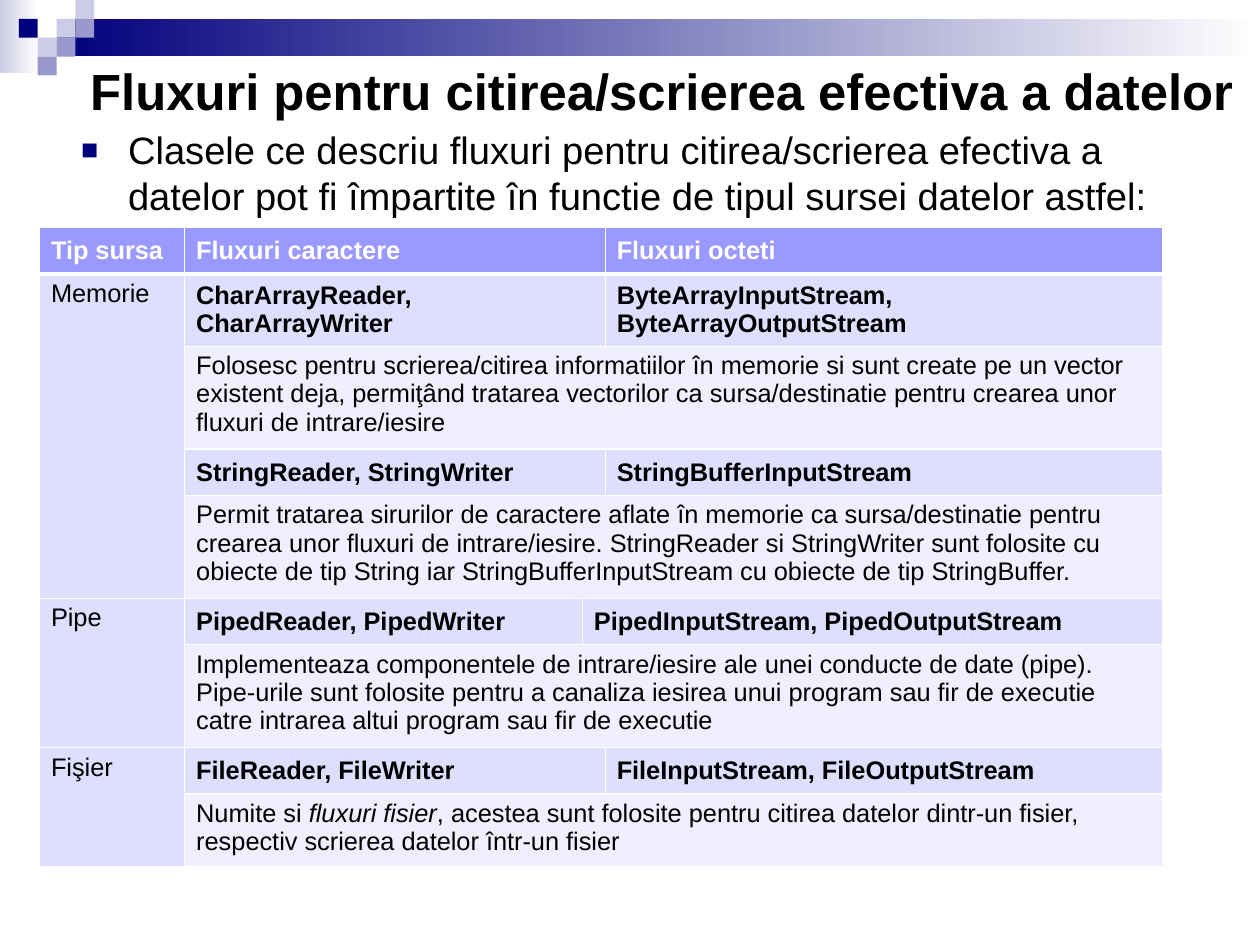
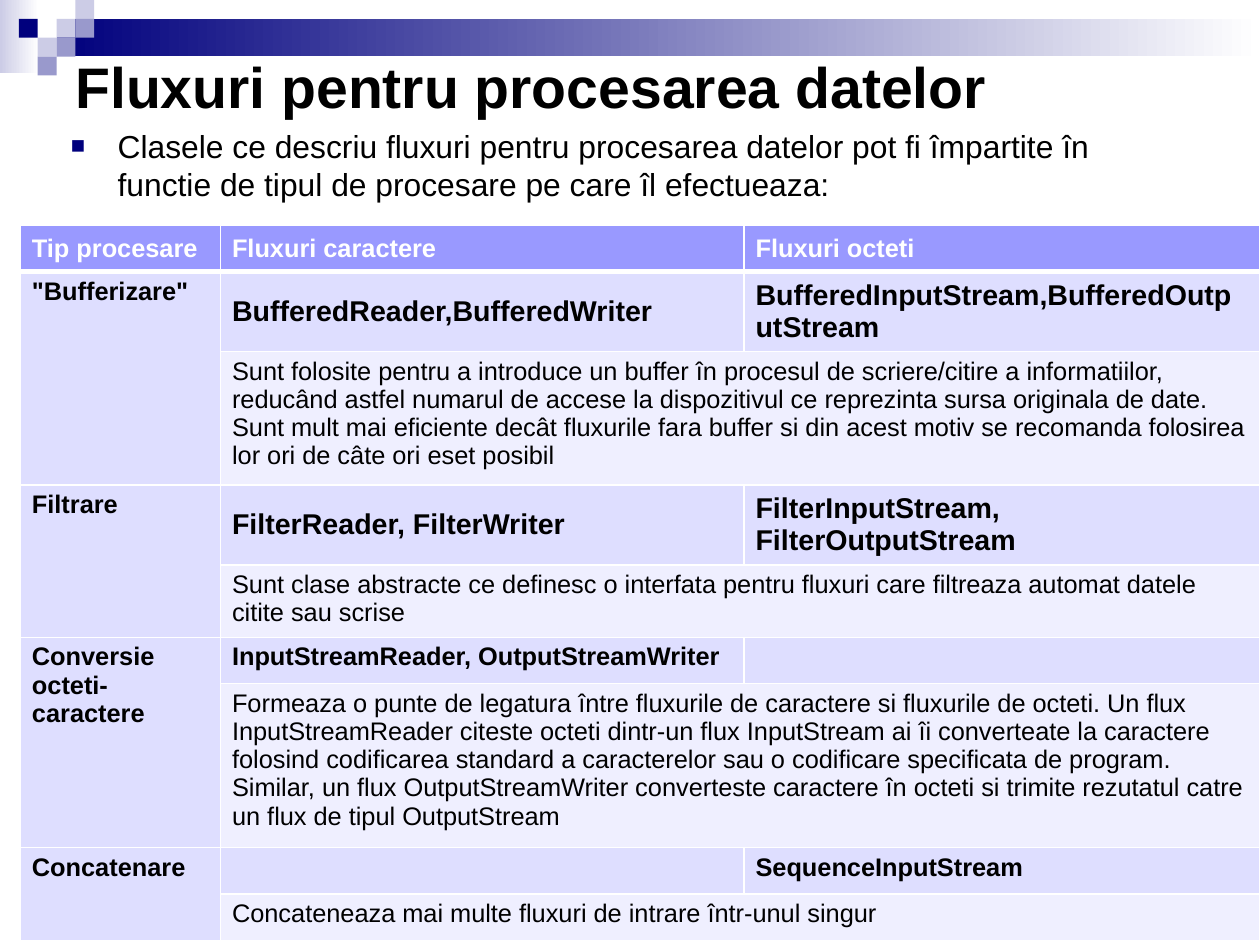
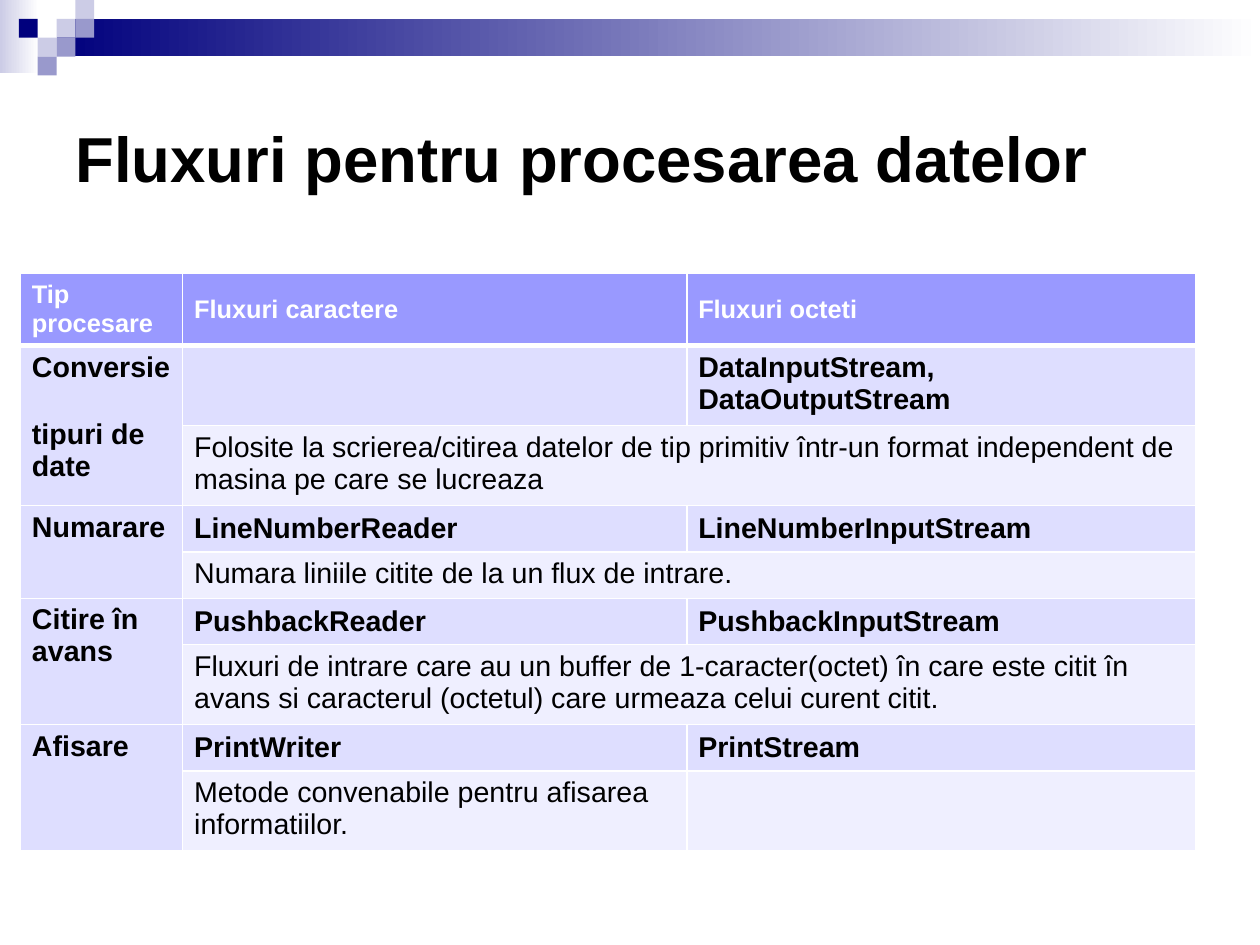
from dataclasses import dataclass
from typing import Optional

from lxml.etree import SubElement
from pptx import Presentation
from pptx.dml.color import RGBColor
from pptx.enum.shapes import MSO_SHAPE
from pptx.enum.text import MSO_ANCHOR
from pptx.oxml.ns import qn
from pptx.util import Cm, Inches, Pt


@dataclass(frozen=True)
class Theme:
    font: str = "Arial"
    navy: str = "00007D"
    lavender: str = "9999CC"
    mist: str = "CCCCE6"
    white: str = "FFFFFF"
    black: str = "000000"
    header: str = "9999FF"
    names: str = "DEDEFF"
    description: str = "EFEFFF"
    table_size: int = 16
    large_table_size: int = 18
    thin_border: int = 1
    thick_border: int = 3


THEME = Theme()
MODULE = 0.165
SLIDE_WIDTH, SLIDE_HEIGHT = Cm(28), Cm(21)
TITLE_ROWS = 4
MOSAIC = [
    (3, 1, THEME.mist), (4, 0, THEME.mist), (4, 1, THEME.lavender),
    (2, 2, THEME.mist), (1, 1, THEME.navy), (3, 2, THEME.lavender),
    (2, 3, THEME.lavender),
]


@dataclass
class Entry:
    characters: str
    octets: str
    description: str
    name_lines: int = 1
    description_lines: int = 1
    name_size: int = THEME.table_size
    name_anchor: MSO_ANCHOR = MSO_ANCHOR.MIDDLE
    octet_column: Optional[int] = None
    full_width: bool = True


def grid(modules):
    return Inches(modules * MODULE)


def color(code):
    return RGBColor.from_string(code)


def row_height(lines, size):
    return Pt(max(29.2, lines * size * 1.2 + 7.2))


class Deck:
    def __init__(self, theme):
        self.theme = theme
        self.presentation = Presentation()
        self.presentation.slide_width = SLIDE_WIDTH
        self.presentation.slide_height = SLIDE_HEIGHT
        self.slide = None

    def new_slide(self):
        layout = self.presentation.slide_layouts[6]
        self.slide = self.presentation.slides.add_slide(layout)
        self.rectangle(0, 0, 2.06, 3.88, self.theme.mist, self.theme.white)
        band_width = SLIDE_WIDTH.inches / MODULE - 3
        self.rectangle(3, 1, band_width, 2, self.theme.navy, self.theme.white)
        for column, row, tone in MOSAIC:
            self.rectangle(column, row, 1, 1, tone)

    def rectangle(self, left, top, width, height, start, end=None):
        shape = self.slide.shapes.add_shape(
            MSO_SHAPE.RECTANGLE, grid(left), grid(top), grid(width), grid(height))
        shape.shadow.inherit = False
        shape.line.fill.background()
        if end is None:
            shape.fill.solid()
            shape.fill.fore_color.rgb = color(start)
            return
        shape.fill.gradient()
        shape.fill.gradient_angle = 0
        for stop, position, tone in zip(shape.fill.gradient_stops, (0, 1), (start, end)):
            stop.position = position
            stop.color.rgb = color(tone)

    def format_run(self, run, size, bold=False, tone=None, italic=False):
        run.font.name = self.theme.font
        run.font.size = Pt(size)
        run.font.bold = bold
        run.font.italic = italic
        run.font.color.rgb = color(tone or self.theme.black)

    def text_box(self, text, left, top, width, height, size, bold=False):
        box = self.slide.shapes.add_textbox(
            grid(left), grid(top), grid(width), grid(height))
        text_frame = box.text_frame
        text_frame.word_wrap = True
        text_frame.margin_left = text_frame.margin_right = Inches(0.11)
        text_frame.margin_top = text_frame.margin_bottom = Inches(0.06)
        text_frame.text = text
        for run in text_frame.paragraphs[0].runs:
            self.format_run(run, size, bold)
        return text_frame

    def title(self, text, size, left, middle, width):
        text_frame = self.text_box(
            text, left, middle - TITLE_ROWS / 2, width, TITLE_ROWS, size, bold=True)
        text_frame.vertical_anchor = MSO_ANCHOR.MIDDLE

    def bullet(self, text, size, left):
        text_frame = self.text_box(text, left, 6.36, 60.12, 28.36, size)
        properties = text_frame.paragraphs[0]._p.get_or_add_pPr()
        properties.set("marL", str(Inches(0.41)))
        properties.set("indent", str(-Inches(0.41)))
        bullet_color = SubElement(properties, qn("a:buClr"))
        SubElement(bullet_color, qn("a:srgbClr")).set("val", self.theme.navy)
        SubElement(properties, qn("a:buSzPct")).set("val", "75000")
        SubElement(properties, qn("a:buFont")).set("typeface", self.theme.font)
        SubElement(properties, qn("a:buChar")).set("char", "■")

    def borders(self, cell, top, bottom):
        properties = cell._tc.get_or_add_tcPr()
        thin = self.theme.thin_border
        for side, width in (("L", thin), ("R", thin), ("T", top), ("B", bottom)):
            line = SubElement(properties, qn(f"a:ln{side}"))
            line.set("w", str(Pt(width)))
            fill = SubElement(line, qn("a:solidFill"))
            SubElement(fill, qn("a:srgbClr")).set("val", self.theme.white)

    def cell(self, table, first, last, text, fill, size, bold=False,
             anchor=MSO_ANCHOR.TOP, tone=None):
        cell = table.cell(*first)
        if first != last:
            cell.merge(table.cell(*last))
        thin, thick = self.theme.thin_border, self.theme.thick_border
        self.borders(cell, thick if first[0] == 1 else thin,
                     thick if first[0] == 0 else thin)
        cell.fill.solid()
        cell.fill.fore_color.rgb = color(fill)
        cell.vertical_anchor = anchor
        cell.margin_left = cell.margin_right = Inches(0.1)
        cell.margin_top = cell.margin_bottom = Inches(0.05)
        pieces = text.split("*")
        paragraph = cell.text_frame.paragraphs[0]
        paragraph.text = pieces[0]
        for piece in pieces[1:]:
            paragraph.add_run().text = piece
        for index, run in enumerate(paragraph.runs):
            italic = len(pieces) > 1 and index % 2 == 1
            self.format_run(run, size, bold, tone, italic)

    def stream_table(self, left, top, columns, heading, topics,
                     size=THEME.table_size, bold_topics=True, frame_rows=None):
        theme = self.theme
        last = len(columns) - 1
        entries = [entry for _, group in topics for entry in group]
        heights = [row_height(1, theme.table_size)]
        for entry in entries:
            heights.append(row_height(entry.name_lines, entry.name_size))
            heights.append(row_height(entry.description_lines, size))
        frame = self.slide.shapes.add_table(
            len(heights), len(columns), grid(left), grid(top),
            grid(sum(columns)), sum(heights))
        table = frame.table
        table.horz_banding = False
        for column, width in zip(table.columns, columns):
            column.width = grid(width)
        for row, height in zip(table.rows, heights):
            row.height = height
        if frame_rows:
            frame.height = grid(frame_rows)

        headings = ((0, 0, heading), (1, last - 1, "Fluxuri caractere"),
                    (last, last, "Fluxuri octeti"))
        for start, end, text in headings:
            self.cell(table, (0, start), (0, end), text, theme.header,
                      theme.table_size, True, MSO_ANCHOR.MIDDLE, theme.white)

        row = 1
        for topic, group in topics:
            self.cell(table, (row, 0), (row + 2 * len(group) - 1, 0), topic,
                      theme.names, size, bold_topics)
            for entry in group:
                split = entry.octet_column or last
                for start, end, text in ((1, split - 1, entry.characters),
                                         (split, last, entry.octets)):
                    self.cell(table, (row, start), (row, end), text, theme.names,
                              entry.name_size, True, entry.name_anchor)
                end = last if entry.full_width else split - 1
                self.cell(table, (row + 1, 1), (row + 1, end), entry.description,
                          theme.description, size)
                if not entry.full_width:
                    self.cell(table, (row + 1, split), (row + 1, last), "",
                              theme.description, size)
                row += 2


def data_source_slide(deck):
    deck.new_slide()
    deck.title("Fluxuri pentru citirea/scrierea efectiva a datelor", 32, 4.12, 4.78, 62.73)
    deck.bullet("Clasele ce descriu fluxuri pentru citirea/scrierea efectiva a datelor "
                "pot fi împartite în functie de tipul sursei datelor astfel:", 24, 3.64)
    deck.stream_table(2.1, 12.06, [7.7, 21.09, 1.21, 29.58], "Tip sursa", [
        ("Memorie", [
            Entry("CharArrayReader, CharArrayWriter",
                  "ByteArrayInputStream, ByteArrayOutputStream",
                  "Folosesc pentru scrierea/citirea informatiilor în memorie si sunt create "
                  "pe un vector existent deja, permiţând tratarea vectorilor ca "
                  "sursa/destinatie pentru crearea unor fluxuri de intrare/iesire",
                  name_lines=2, description_lines=3),
            Entry("StringReader, StringWriter", "StringBufferInputStream",
                  "Permit tratarea sirurilor de caractere aflate în memorie ca "
                  "sursa/destinatie pentru crearea unor fluxuri de intrare/iesire. "
                  "StringReader si StringWriter sunt folosite cu obiecte de tip String "
                  "iar StringBufferInputStream cu obiecte de tip StringBuffer.",
                  description_lines=3),
        ]),
        ("Pipe", [
            Entry("PipedReader, PipedWriter", "PipedInputStream, PipedOutputStream",
                  "Implementeaza componentele de intrare/iesire ale unei conducte de date "
                  "(pipe). Pipe-urile sunt folosite pentru a canaliza iesirea unui program "
                  "sau fir de executie catre intrarea altui program sau fir de executie",
                  description_lines=3, octet_column=2),
        ]),
        ("Fişier", [
            Entry("FileReader, FileWriter", "FileInputStream, FileOutputStream",
                  "Numite si *fluxuri fisier*, acestea sunt folosite pentru citirea datelor "
                  "dintr-un fisier, respectiv scrierea datelor într-un fisier",
                  description_lines=2),
        ]),
    ], bold_topics=False)


def processing_slide(deck):
    large = THEME.large_table_size
    deck.new_slide()
    deck.title("Fluxuri pentru procesarea datelor", 36, 3.33, 4.55, 60.12)
    deck.bullet("Clasele ce descriu fluxuri pentru procesarea datelor pot fi împartite în "
                "functie de tipul de procesare pe care îl efectueaza:", 20, 3.09)
    deck.stream_table(1.09, 11.94, [10.61, 27.76, 27.33], "Tip procesare", [
        ('"Bufferizare"', [
            Entry("BufferedReader,BufferedWriter",
                  "BufferedInputStream,BufferedOutputStream",
                  "Sunt folosite pentru a introduce un buffer în procesul de "
                  "scriere/citire a informatiilor, reducând astfel numarul de accese la "
                  "dispozitivul ce reprezinta sursa originala de date. Sunt mult mai "
                  "eficiente decât fluxurile fara buffer si din acest motiv se recomanda "
                  "folosirea lor ori de câte ori eset posibil",
                  name_lines=2, description_lines=4, name_size=large),
        ]),
        ("Filtrare", [
            Entry("FilterReader, FilterWriter", "FilterInputStream, FilterOutputStream",
                  "Sunt clase abstracte ce definesc o interfata pentru fluxuri care "
                  "filtreaza automat datele citite sau scrise",
                  name_lines=2, description_lines=2, name_size=large),
        ]),
        ("Conversie \vocteti-caractere", [
            Entry("InputStreamReader, OutputStreamWriter", "",
                  "Formeaza o punte de legatura între fluxurile de caractere si fluxurile "
                  "de octeti. Un flux InputStreamReader citeste octeti dintr-un flux "
                  "InputStream ai îi converteate la caractere folosind codificarea "
                  "standard a caracterelor sau o codificare specificata de program. "
                  "Similar, un flux OutputStreamWriter converteste caractere în octeti si "
                  "trimite rezutatul catre un flux de tipul OutputStream",
                  description_lines=5, name_anchor=MSO_ANCHOR.TOP),
        ]),
        ("Concatenare", [
            Entry("", "SequenceInputStream",
                  "Concateneaza mai multe fluxuri de intrare într-unul singur",
                  name_anchor=MSO_ANCHOR.TOP),
        ]),
    ])


def more_processing_slide(deck):
    large = THEME.large_table_size
    deck.new_slide()
    deck.title("Fluxuri pentru procesarea datelor", 40, 3.33, 8.33, 60.12)
    deck.stream_table(1.09, 14.48, [8.6, 26.73, 26.97], "Tip procesare", [
        ("Conversie \vtipuri de date", [
            Entry("", "DataInputStream, DataOutputStream",
                  "Folosite la scrierea/citirea datelor de tip primitiv într-un format "
                  "independent de masina pe care se lucreaza", name_size=large,
                  name_anchor=MSO_ANCHOR.TOP),
        ]),
        ("Numarare", [
            Entry("LineNumberReader", "LineNumberInputStream",
                  "Numara liniile citite de la un flux de intrare.", name_size=large),
        ]),
        ("Citire în avans", [
            Entry("PushbackReader", "PushbackInputStream",
                  "Fluxuri de intrare care au un buffer de 1-caracter(octet) în care este "
                  "citit în avans si caracterul (octetul) care urmeaza celui curent citit.",
                  name_size=large),
        ]),
        ("Afisare", [
            Entry("PrintWriter", "PrintStream",
                  "Metode convenabile pentru afisarea informatiilor.",
                  name_size=large, full_width=False),
        ]),
    ], size=large, frame_rows=30.67)


def main():
    deck = Deck(THEME)
    data_source_slide(deck)
    processing_slide(deck)
    more_processing_slide(deck)
    deck.presentation.save("out.pptx")


if __name__ == "__main__":
    main()
